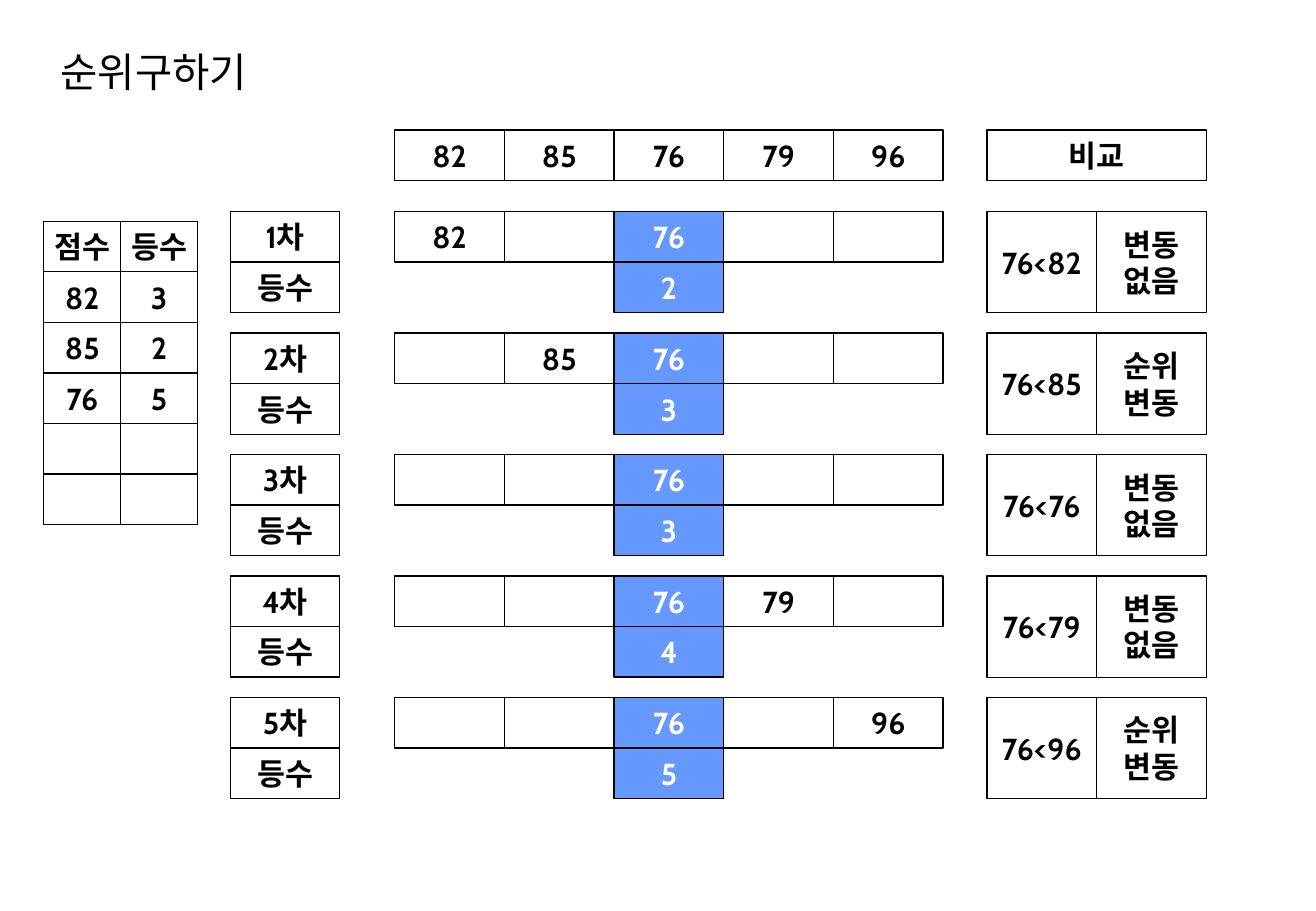
from lxml.etree import SubElement
from pptx import Presentation
from pptx.dml.color import RGBColor
from pptx.enum.shapes import MSO_SHAPE
from pptx.enum.text import MSO_ANCHOR, PP_ALIGN
from pptx.oxml.ns import qn
from pptx.util import Inches, Pt

BLACK = RGBColor(0x00, 0x00, 0x00)
WHITE = RGBColor(0xFF, 0xFF, 0xFF)
BLUE = RGBColor(0x66, 0x99, 0xFF)

deck = Presentation()
deck.slide_width = Inches(10.83)
deck.slide_height = Inches(7.5)
page = deck.slides.add_slide(deck.slide_layouts[6])

# Grid: 12 columns by 18 rows
COLUMN = deck.slide_width / 12
ROW = deck.slide_height / 18
LABEL_LEFT, SCORE_LEFT, COMPARE_LEFT = 2.1, 3.6, 9
HEADER_TOP, ROUND_TOP, ROUND_STEP = 2.57, 4.18, 2.4
TABLE_LEFT, TABLE_TOP, TABLE_COLUMN = 0.4, 4.37, 0.7


def style_text(frame, size, font, color, bold=False):
    frame.vertical_anchor = MSO_ANCHOR.MIDDLE
    for para in frame.paragraphs:
        for span in para.runs:
            span.font.size = Pt(size)
            span.font.name = font
            span.font.bold = bold
            span.font.color.rgb = color
            east_asian = SubElement(span.font._element, qn("a:ea"))
            east_asian.set("typeface", font)


def add_cell(left, top, text="", width=1, height=1, fill=WHITE, color=BLACK):
    cell = page.shapes.add_shape(
        MSO_SHAPE.RECTANGLE, round(left * COLUMN), round(top * ROW),
        round(width * COLUMN), round(height * ROW))
    cell.shadow.inherit = False
    cell.fill.solid()
    cell.fill.fore_color.rgb = fill
    cell.line.color.rgb = BLACK
    cell.line.width = Pt(0.75)
    frame = cell.text_frame
    frame.word_wrap = False
    if text:
        frame.text = text
        style_text(frame, 18, "Cabin", color, bold=True)
        for para in frame.paragraphs:
            para.alignment = PP_ALIGN.CENTER


# Title
title = page.shapes.add_textbox(Inches(0.4), Inches(0.32), Inches(6.26), Inches(0.54))
title.text_frame.word_wrap = True
title.text_frame.text = "순위구하기"
style_text(title.text_frame, 24, "Noto Sans CJK KR", BLACK)

# Header row
scores = [82, 85, 76, 79, 96]
target = 2
for index, score in enumerate(scores):
    add_cell(SCORE_LEFT + index, HEADER_TOP, str(score))
add_cell(COMPARE_LEFT, HEADER_TOP, "비교", width=2)

# Comparison rounds: the target score meets each score in turn
ranks = [2, 3, 3, 4, 5]
outcomes = ["변동\n없음", "순위\n변동", "변동\n없음", "변동\n없음", "순위\n변동"]
for turn, (score, rank, outcome) in enumerate(zip(scores, ranks, outcomes)):
    top = ROUND_TOP + turn * ROUND_STEP
    add_cell(LABEL_LEFT, top, f"{turn + 1}차")
    add_cell(LABEL_LEFT, top + 1, "등수")
    for index in range(len(scores)):
        if index != target:
            add_cell(SCORE_LEFT + index, top, str(score) if index == turn else "")
    for offset, value in enumerate([scores[target], rank]):
        add_cell(SCORE_LEFT + target, top + offset, str(value), fill=BLUE, color=WHITE)
    add_cell(COMPARE_LEFT, top, f"{scores[target]}<{score}", height=2)
    add_cell(COMPARE_LEFT + 1, top, outcome, height=2)

# Score and rank list
results = [("점수", "등수"), ("82", "3"), ("85", "2"), ("76", "5"), ("", ""), ("", "")]
for line, values in enumerate(results):
    for index, value in enumerate(values):
        add_cell(TABLE_LEFT + index * TABLE_COLUMN, TABLE_TOP + line, value, width=TABLE_COLUMN)

deck.save("out.pptx")
